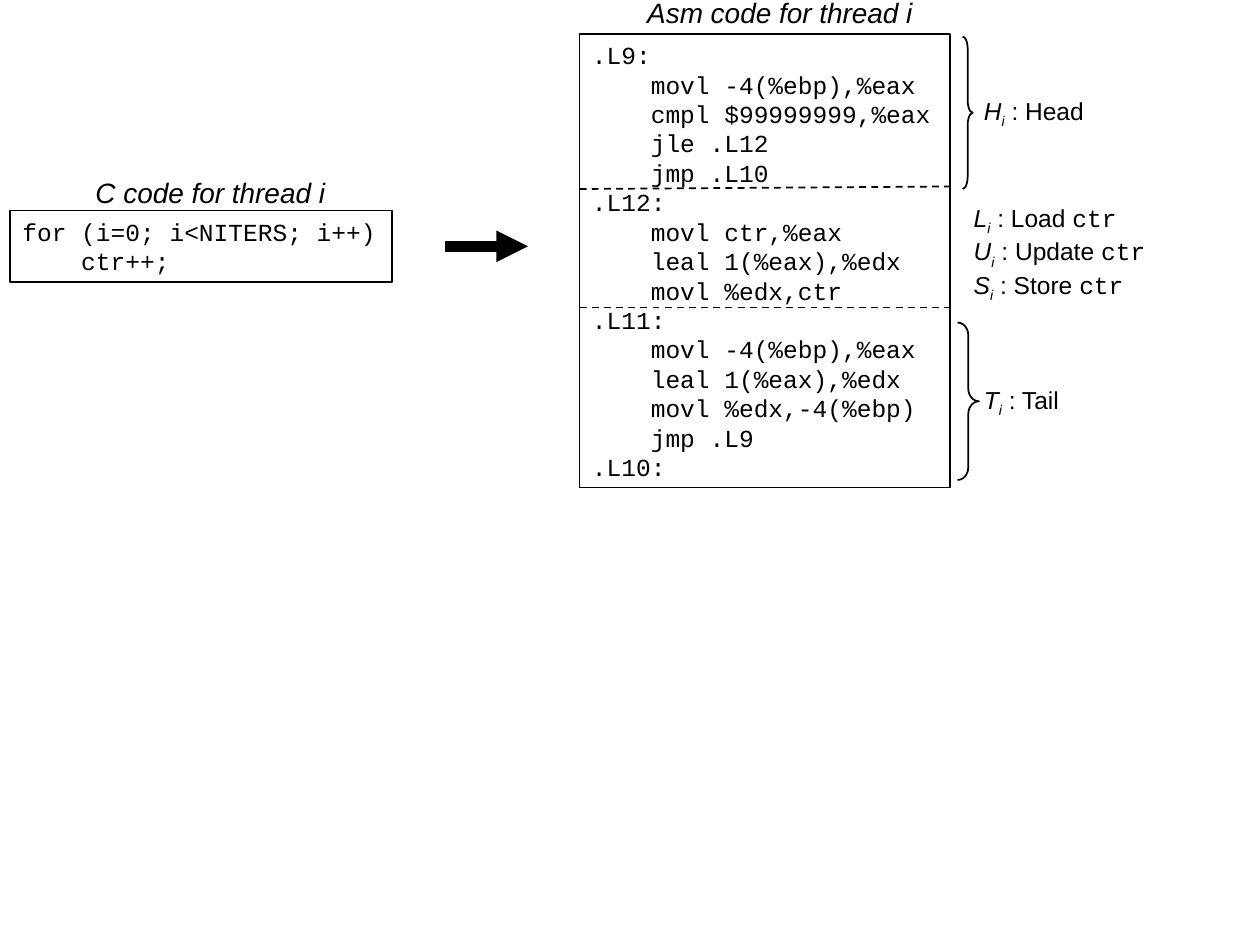
from dataclasses import dataclass
from lxml import etree
from pptx import Presentation
from pptx import util as u
from pptx.dml.color import RGBColor
from pptx.enum import dml, shapes, text
from pptx.oxml.ns import qn


@dataclass(frozen=True)
class Theme:
    """Colours, fonts and type sizes of the slide."""
    ink: RGBColor = RGBColor(0, 0, 0)
    sans: str = "Arial"
    mono: str = "Courier New"
    head: int = 16
    body: int = 14
    thin: int = 1
    thick: int = 6


LOOK = Theme()

C_CODE = """for (i=0; i<NITERS; i++)
    ctr++;"""

ASM_CODE = """.L9:
    movl -4(%ebp),%eax
    cmpl $99999999,%eax
    jle .L12
    jmp .L10
.L12:
    movl ctr,%eax
    leal 1(%eax),%edx
    movl %edx,ctr
.L11:
    movl -4(%ebp),%eax
    leal 1(%eax),%edx
    movl %edx,-4(%ebp)
    jmp .L9
.L10:"""


def style(run, face=LOOK.sans, size=LOOK.body, slant=False, sub=False):
    """Give a run its font, and lower it if it is a subscript."""
    font = run.font
    font.name, font.size, font.italic = face, u.Pt(size), slant
    font.color.rgb = LOOK.ink
    if sub:
        run._r.get_or_add_rPr().set("baseline", "-25000")


def stroke(item, width=LOOK.thin):
    """Draw an item with a plain ink line."""
    item.line.color.rgb = LOOK.ink
    item.line.width = u.Pt(width)


def label(slide, box):
    """Add an unwrapped, middle-anchored text box and return its frame."""
    frame = slide.shapes.add_textbox(*map(u.Inches, box)).text_frame
    frame.word_wrap = False
    frame.auto_size = text.MSO_AUTO_SIZE.SHAPE_TO_FIT_TEXT
    frame.vertical_anchor = text.MSO_ANCHOR.MIDDLE
    return frame


def title(slide, box, words):
    """Add a centred italic heading."""
    frame = label(slide, box)
    frame.text = words
    para = frame.paragraphs[0]
    para.alignment = text.PP_ALIGN.CENTER
    style(para.runs[0], size=LOOK.head, slant=True)


def legend(slide, box, rows):
    """List symbols with subscript i, their meaning and any code word."""
    frame = label(slide, box)
    for i, (sign, words, code) in enumerate(rows):
        para = frame.add_paragraph() if i else frame.paragraphs[0]
        parts = [(sign, {"slant": True}), ("i", {"slant": True, "sub": True}),
                 (f" : {words}", {}), (code, {"face": LOOK.mono})]
        for part, form in parts:
            if part:
                run = para.add_run()
                run.text = part
                style(run, **form)


def listing(slide, box, code):
    """Add a framed code listing."""
    panel = slide.shapes.add_shape(shapes.MSO_SHAPE.RECTANGLE, *map(u.Inches, box))
    panel.shadow.inherit = False
    panel.fill.background()
    stroke(panel)
    frame = panel.text_frame
    frame.word_wrap = True
    frame.auto_size = text.MSO_AUTO_SIZE.SHAPE_TO_FIT_TEXT
    frame.vertical_anchor = text.MSO_ANCHOR.MIDDLE
    frame.text = code
    for para in frame.paragraphs:
        para.alignment = text.PP_ALIGN.LEFT
        style(para.runs[0], face=LOOK.mono)


def brace(slide, box):
    """Add a right brace with a curl of a tenth of an inch."""
    curl = slide.shapes.add_shape(shapes.MSO_SHAPE.RIGHT_BRACE, *map(u.Inches, box))
    curl.shadow.inherit = False
    curl.fill.background()
    stroke(curl)
    curl.adjustments[0] = 0.1 / box[2]


def link(slide, ends, width=LOOK.thin):
    """Add a straight line without shadow."""
    line = slide.shapes.add_connector(shapes.MSO_CONNECTOR.STRAIGHT, *map(u.Inches, ends))
    stroke(line, width)
    etree.SubElement(line._element.spPr, qn("a:effectLst"))
    return line


def source(slide, box):
    """Place the C code and its heading."""
    left, top, wide, high = box
    title(slide, (left + 0.56, top - 0.33, 2.06, 0.37), "C code for thread i")
    listing(slide, box, C_CODE)


def arrow(slide, box):
    """Place the thick arrow from C to assembly along the box's middle."""
    left, top, wide, high = box
    mid = top + high / 2
    line = link(slide, (left, mid, left + wide, mid), LOOK.thick)
    tip = etree.SubElement(line.line._get_or_add_ln(), qn("a:tailEnd"))
    tip.set("type", "triangle")


def target(slide, box):
    """Place the assembly code, its heading and the dashed dividers."""
    left, top, wide, high = box
    title(slide, (left + 0.39, top - 0.36, 2.4, 0.37), "Asm code for thread i")
    listing(slide, box, ASM_CODE)
    for start, end in ((1.23, 1.21), (2.17, 2.17)):
        rule = link(slide, (left, top + start, left + wide, top + end))
        rule.line.dash_style = dml.MSO_LINE.DASH


def notes(slide, box):
    """Place the braces and the names of the three code sections."""
    left, top, wide, high = box
    brace(slide, (left + 0.04, top + 0.02, 0.08, 1.21))
    brace(slide, (left, top + 2.29, 0.17, 1.25))
    legend(slide, (left + 0.11, top + 0.44, 1.04, 0.37), [("H", "Head", "")])
    legend(slide, (left + 0.03, top + 1.29, 1.56, 0.9),
           [("L", "Load ", "ctr"), ("U", "Update ", "ctr"), ("S", "Store ", "ctr")])
    legend(slide, (left + 0.11, top + 2.73, 0.82, 0.37), [("T", "Tail", "")])


def main():
    """Build and save the slide."""
    deck = Presentation()
    deck.slide_width, deck.slide_height = u.Inches(10), u.Inches(7.5)
    slide = deck.slides.add_slide(deck.slide_layouts[6])
    source(slide, (0.08, 1.67, 3.03, 0.57))
    arrow(slide, (3.53, 1.67, 0.66, 0.57))
    target(slide, (4.6, 0.27, 2.94, 3.6))
    notes(slide, (7.6, 0.27, 1.59, 3.6))
    deck.save("out.pptx")


if __name__ == "__main__":
    main()
